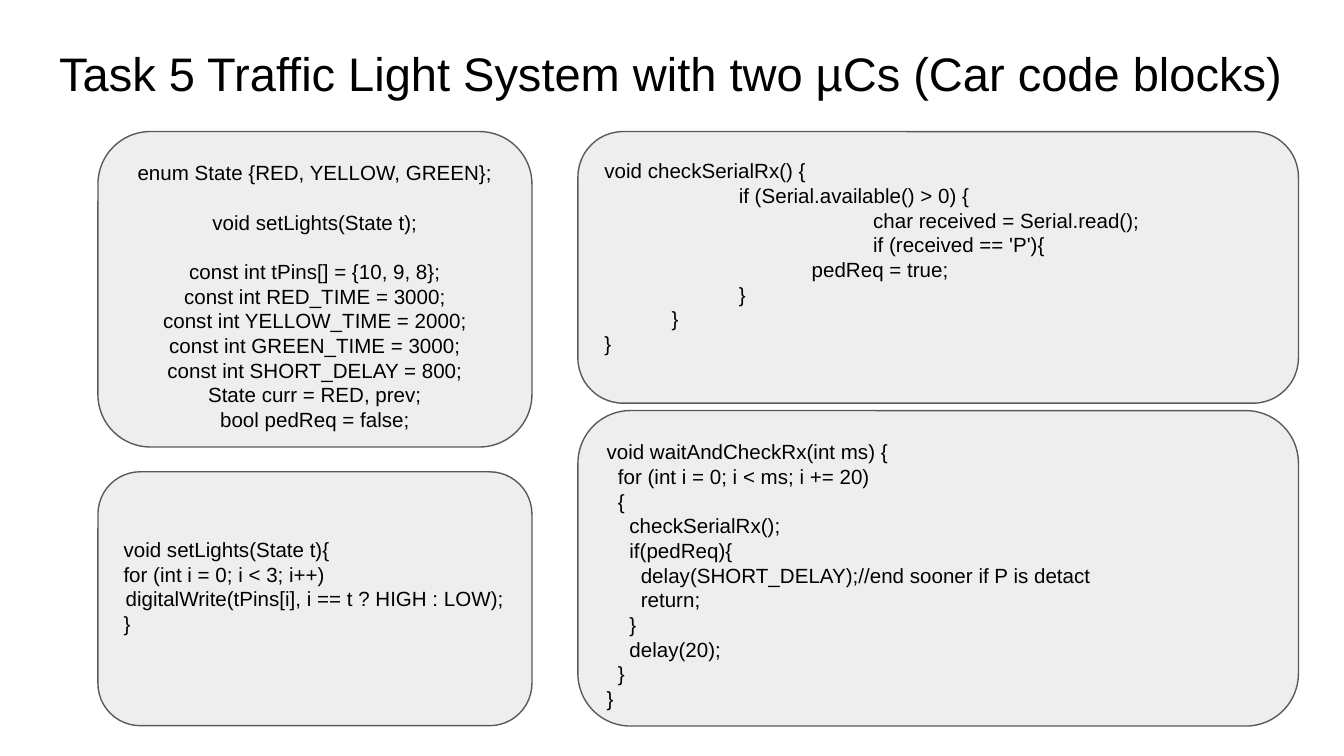
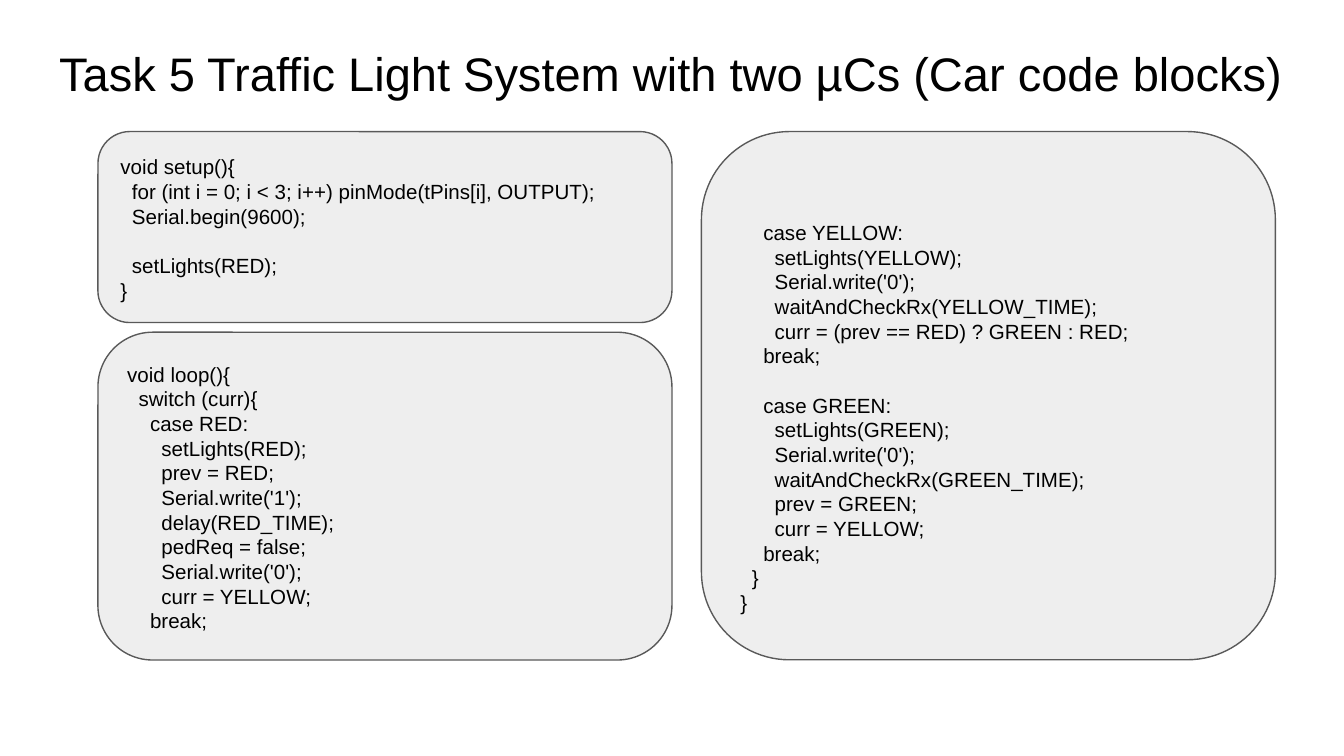
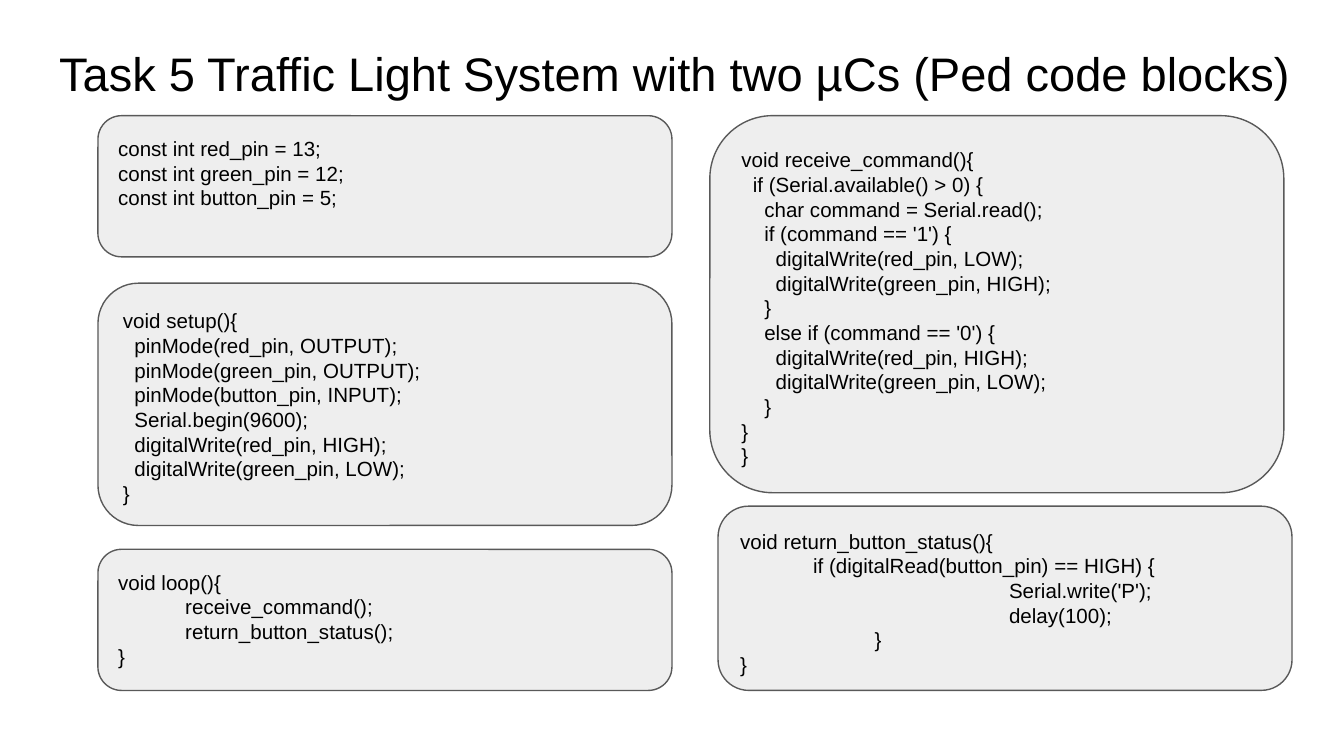
from pptx import Presentation
from pptx.dml.color import RGBColor
from pptx.enum import shapes, text
from pptx.util import Pt

SPACE, TAB, LINE, INSET = 3.06, 36, 13.2, 7.2
LEFT, TOP, WIDE = 52.5, 70.5, 307.5
TITLE = "Task 5 Traffic Light System with two µCs ({} code blocks)"


def color(code):
    return RGBColor.from_string(code)


def style(frame, size, top=0, low=0):
    """Set insets and font; top and low are extra lines of padding."""
    form = {
        "margin_left": Pt(INSET), "margin_right": Pt(INSET),
        "margin_top": Pt(INSET + top * LINE),
        "margin_bottom": Pt(INSET + low * LINE),
        "word_wrap": True, "auto_size": text.MSO_AUTO_SIZE.NONE,
        "vertical_anchor": text.MSO_ANCHOR.TOP,
    }
    for key, val in form.items():
        setattr(frame, key, val)
    for par in frame.paragraphs:
        par.alignment = text.PP_ALIGN.LEFT
        par.font.name, par.font.size = "Arial", Pt(size)
        par.font.color.rgb = color("000000")


# Each block: left, top, width, height, code, options.
# Options: mid = centred lines, top/low = padding in lines, anchor = "middle".
# Leading tabs and spaces become indents; an empty line becomes space before.
car_one = [
    (LEFT, TOP, 232.5, 169, """enum State {RED, YELLOW, GREEN};

void setLights(State t);

const int tPins[] = {10, 9, 8};
const int RED_TIME = 3000;
const int YELLOW_TIME = 2000;
const int GREEN_TIME = 3000;
const int SHORT_DELAY = 800;
State curr = RED, prev;
bool pedReq = false;""", {"mid": range(11)}),
    (LEFT, 252.8, 232.5, 136, """void setLights(State t){
for (int i = 0; i < 3; i++)
digitalWrite(tPins[i], i == t ? HIGH : LOW);
}""", {"mid": [2], "low": 1, "anchor": "middle"}),
    (309.6, TOP, 386, 145.5, """void checkSerialRx() {
\t\tif (Serial.available() > 0) {
\t\t\t\tchar received = Serial.read();
\t\t\t\tif (received == 'P'){
\t\t\t pedReq = true;
\t\t}
\t}
}""", {}),
    (309.6, 220, 386, 169, """void waitAndCheckRx(int ms) {
  for (int i = 0; i < ms; i += 20)
  {
    checkSerialRx();
    if(pedReq){
      delay(SHORT_DELAY);//end sooner if P is detact
      return;
    }
    delay(20);
  }
}""", {}),
]

car_two = [
    (LEFT, TOP, WIDE, 102.3, """void setup(){
  for (int i = 0; i < 3; i++) pinMode(tPins[i], OUTPUT);
  Serial.begin(9600);

  setLights(RED);
}""", {}),
    (LEFT, 178, WIDE, 175.6, """void loop(){
  switch (curr){
    case RED:
      setLights(RED);
      prev = RED;
      Serial.write('1');
      delay(RED_TIME);
      pedReq = false;
      Serial.write('0');
      curr = YELLOW;
    break;""", {}),
    (375.8, TOP, WIDE, 283, """    case YELLOW:
      setLights(YELLOW);
      Serial.write('0');
      waitAndCheckRx(YELLOW_TIME);
      curr = (prev == RED) ? GREEN : RED;
    break;

    case GREEN:
      setLights(GREEN);
      Serial.write('0');
      waitAndCheckRx(GREEN_TIME);
      prev = GREEN;
      curr = YELLOW;
    break;
  }
}""", {"top": 2}),
]

ped = [
    (LEFT, 62, WIDE, 75.6, """const int red_pin = 13;
const int green_pin = 12;
const int button_pin = 5;""", {}),
    (LEFT, 151.7, WIDE, 129.8, """void setup(){
  pinMode(red_pin, OUTPUT);
  pinMode(green_pin, OUTPUT);
  pinMode(button_pin, INPUT);
  Serial.begin(9600);
  digitalWrite(red_pin, HIGH);
  digitalWrite(green_pin, LOW);
}""", {}),
    (384.7, 271.2, WIDE, 98.7, """void return_button_status(){
\t if (digitalRead(button_pin) == HIGH) {
\t\t\t\tSerial.write('P');
\t\t\t\tdelay(100);
\t\t}
}""", {}),
    (380.3, 62, WIDE, 202, """void receive_command(){
  if (Serial.available() > 0) {
    char command = Serial.read();
    if (command == '1') {
      digitalWrite(red_pin, LOW);
      digitalWrite(green_pin, HIGH);
    }
    else if (command == '0') {
      digitalWrite(red_pin, HIGH);
      digitalWrite(green_pin, LOW);
    }
}
}""", {}),
    (LEFT, 294.3, WIDE, 75.6, """void loop(){
\treceive_command();
\treturn_button_status();
}""", {}),
]

deck = Presentation()
deck.slide_width, deck.slide_height = Pt(720), Pt(405)

for who, width, blocks in (("Car", 671, car_one), ("Car", 671, car_two),
                           ("Ped", 685, ped)):
    slide = deck.slides.add_slide(deck.slide_layouts[5])
    title = slide.shapes.title
    title.left, title.top = Pt(24.5), Pt(16.6)
    title.width, title.height = Pt(width), Pt(45.4)
    title.text = TITLE.format(who)
    style(title.text_frame, 25.2)

    for x, y, w, h, code, opts in blocks:
        box = slide.shapes.add_shape(
            shapes.MSO_SHAPE.ROUNDED_RECTANGLE, Pt(x), Pt(y), Pt(w), Pt(h))
        box.shadow.inherit = False
        box.fill.solid()
        box.fill.fore_color.rgb = color("EEEEEE")
        box.line.color.rgb = color("595959")
        box.line.width = Pt(0.75)

        frame = box.text_frame
        lines = code.split("\n")
        frame.text = "\n".join(row.strip() for row in lines if row)
        style(frame, 11, opts.get("top", 0), opts.get("low", 0))
        if opts.get("anchor") == "middle":
            frame.vertical_anchor = text.MSO_ANCHOR.MIDDLE

        pars = iter(frame.paragraphs)
        gap = 0
        for num, row in enumerate(lines):
            if not row:
                gap += LINE
                continue
            par = next(pars)
            par.line_spacing = Pt(LINE)
            par.space_before = Pt(gap)
            gap = 0
            if num in opts.get("mid", ()):
                par.alignment = text.PP_ALIGN.CENTER
            lead = row[:len(row) - len(row.lstrip())]
            dent = lead.count("\t") * TAB + lead.count(" ") * SPACE
            par._p.get_or_add_pPr().set("marL", str(Pt(dent)))

deck.save("out.pptx")
